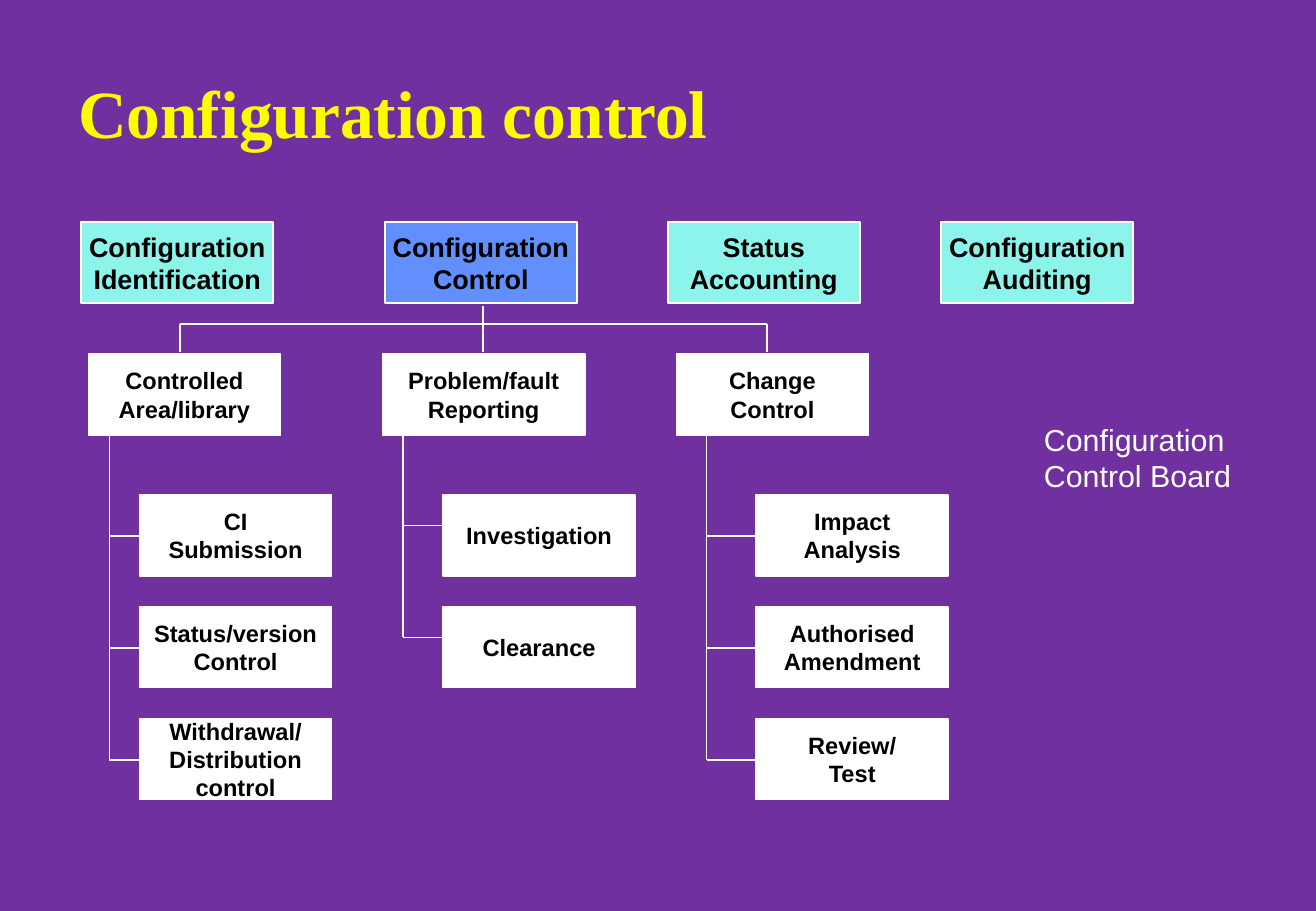
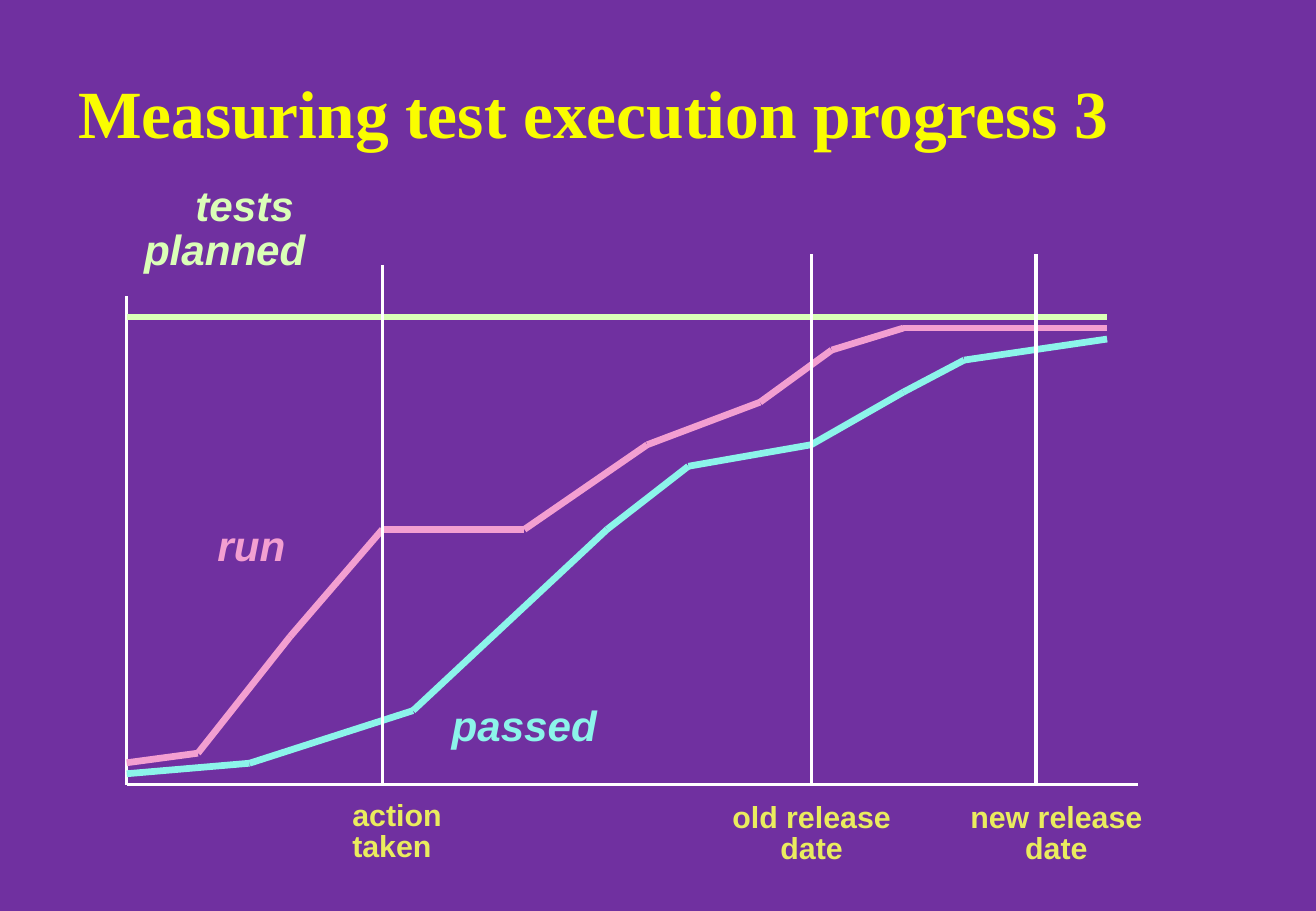
from itertools import pairwise

from lxml.etree import SubElement
from pptx import Presentation
from pptx.dml.color import RGBColor
from pptx.enum.shapes import MSO_CONNECTOR, MSO_SHAPE
from pptx.enum.text import MSO_ANCHOR, MSO_AUTO_SIZE, PP_ALIGN
from pptx.oxml.ns import qn
from pptx.util import Cm, Pt

PURPLE = RGBColor(0x70, 0x30, 0xA0)
YELLOW = RGBColor(0xFA, 0xFD, 0x00)
WHITE = RGBColor(0xFF, 0xFF, 0xFF)
BLACK = RGBColor(0x00, 0x00, 0x00)
AQUA = RGBColor(0x8C, 0xF4, 0xEA)
BLUE = RGBColor(0x61, 0x8F, 0xFD)
PINK = RGBColor(0xF3, 0x9F, 0xD1)
LIME = RGBColor(0xDB, 0xFF, 0xB8)
GOLD = RGBColor(0xEA, 0xEC, 0x5E)

SANS = "Arial"
SERIF = "Times New Roman"
BOX_W, BOX_H = 4.02, 1.69
LEAF_DROP, LEAF_STEP = 2.94, 2.34

HEADS = [
    (0, ["Configuration", "Identification"], AQUA),
    (6.35, ["Configuration", "Control"], BLUE),
    (12.27, ["Status", "Accounting"], AQUA),
    (17.99, ["Configuration", "Auditing"], AQUA),
]

TREES = [
    (BOX_W, 0.44, 1.07, 0.86, ["Controlled", "Area/library"],
     [["CI", "Submission"], ["Status/version", "Control"],
      ["Withdrawal/", "Distribution", "control"]]),
    (4.24, 0.43, 1.27, 0.64, ["Problem/fault", "Reporting"],
     [["Investigation"], ["Clearance"]]),
    (BOX_W, 0.63, 1.67, 0.86, ["Change", "Control"],
     [["Impact", "Analysis"], ["Authorised", "Amendment"],
      ["Review/", "Test"]]),
]

CURVES = [
    (PINK, [(0, 0.46), (1.49, 0.66), (3.42, 3.1), (5.35, 5.34),
            (8.32, 5.34), (10.89, 7.11), (13.25, 8), (14.75, 9.09),
            (16.25, 9.55), (20.51, 9.55)]),
    (AQUA, [(0, 0.23), (2.57, 0.45), (5.99, 1.55), (10.05, 5.34),
            (11.75, 6.66), (14.32, 7.11), (16.25, 8.21), (17.52, 8.88),
            (20.51, 9.32)]),
    (LIME, [(0, 9.78), (20.51, 9.78)]),
]

MARKS = [(5.35, 10.87), (14.32, 11.1), (19.02, 11.1)]

NAMES = [
    (-0.58, -12.59, 4.5, 1.98, ["tests ", "planned"], LIME, PP_ALIGN.RIGHT),
    (1.72, -5.49, 2, 1.07, ["run"], PINK, PP_ALIGN.LEFT),
    (6.62, -1.72, 4, 1.07, ["passed"], AQUA, PP_ALIGN.LEFT),
]

DATES = [
    (4.54, 0.28, 2.6, 1.45, ["action", "taken"], GOLD, PP_ALIGN.LEFT),
    (12.33, 0.31, 4, 1.45, ["old release", "date"], GOLD, PP_ALIGN.CENTER),
    (17.25, 0.31, 4.4, 1.45, ["new release", "date"], GOLD, PP_ALIGN.CENTER),
]


def write(frame, lines, size, color, font=SANS, bold=True, slant=False,
          align=PP_ALIGN.LEFT, space=1.0):
    for i, line in enumerate(lines):
        para = frame.add_paragraph() if i else frame.paragraphs[0]
        para.alignment = align
        para.line_spacing = space
        run = para.add_run()
        run.text = line
        run.font.name = font
        run.font.size = Pt(size)
        run.font.bold = bold
        run.font.italic = slant
        run.font.color.rgb = color


def add_slide(deck, text):
    slide = deck.slides.add_slide(deck.slide_layouts[5])
    title = slide.shapes.title
    title.left, title.top = Cm(1.38), Cm(1.49)
    title.width, title.height = Cm(23.39), Cm(1.7)
    frame = title.text_frame
    frame.auto_size = MSO_AUTO_SIZE.NONE
    frame.vertical_anchor = MSO_ANCHOR.MIDDLE
    write(frame, [text], 40, YELLOW, SERIF)
    return slide


def add_line(slide, start, end, color=WHITE, width=1):
    line = slide.shapes.add_connector(
        MSO_CONNECTOR.STRAIGHT, *(Cm(v) for v in (*start, *end)))
    line.line.color.rgb = color
    line.line.width = Pt(width)
    SubElement(line._element.spPr, qn("a:effectLst"))


def add_box(slide, x, y, w, lines, fill=WHITE, size=14):
    box = slide.shapes.add_shape(
        MSO_SHAPE.RECTANGLE, Cm(x), Cm(y), Cm(w), Cm(BOX_H))
    box.shadow.inherit = False
    box.fill.solid()
    box.fill.fore_color.rgb = fill
    box.line.color.rgb = WHITE
    box.line.width = Pt(1)
    frame = box.text_frame
    frame.word_wrap = False
    frame.vertical_anchor = MSO_ANCHOR.MIDDLE
    write(frame, lines, size, BLACK, align=PP_ALIGN.CENTER)


def add_label(slide, x, y, w, h, lines, size, color, pad=(0.18, 0.08), **style):
    label = slide.shapes.add_textbox(Cm(x), Cm(y), Cm(w), Cm(h))
    frame = label.text_frame
    frame.word_wrap = True
    frame.auto_size = MSO_AUTO_SIZE.NONE
    frame.margin_left = frame.margin_right = Cm(pad[0])
    frame.margin_top = frame.margin_bottom = Cm(pad[1])
    write(frame, lines, size, color, **style)


def add_heads(slide, x, y):
    for shift, lines, fill in HEADS:
        add_box(slide, x + shift, y, BOX_W, lines, fill, 16)


def add_fork(slide, x, y, mid, wide, drop):
    bar = y + 0.38
    add_line(slide, (x + mid, y), (x + mid, y + drop))
    add_line(slide, (x, bar), (x + wide, bar))
    for end in (x, x + wide):
        add_line(slide, (end, bar), (end, y + drop))


def add_tree(slide, x, y, w, stem, leaf, tick, lines, leaves):
    add_box(slide, x, y, w, lines)
    for i, part in enumerate(leaves):
        top = y + LEAF_DROP + i * LEAF_STEP
        add_box(slide, x + leaf, top, BOX_W, part)
        add_line(slide, (x + stem, top + tick), (x + leaf, top + tick))
    add_line(slide, (x + stem, y + BOX_H), (x + stem, top + tick))


def add_plot(slide, x, y):
    add_line(slide, (x, y - 10.21), (x, y), width=2)
    add_line(slide, (x, y), (x + 21.15, y), width=2)
    for color, points in CURVES:
        spots = [(x + dx, y - dy) for dx, dy in points]
        for start, end in pairwise(spots):
            add_line(slide, start, end, color, 4)
    for shift, high in MARKS:
        add_line(slide, (x + shift, y - high), (x + shift, y), width=2)
    for group, size, slant, space in (
            (NAMES, 25, True, 0.87), (DATES, 18, False, 0.85)):
        for dx, dy, w, h, lines, color, align in group:
            add_label(slide, x + dx, y + dy, w, h, lines, size, color,
                      slant=slant, align=align, space=space)


def control_slide(deck):
    slide = add_slide(deck, "Configuration control")
    add_heads(slide, 1.7, 4.65)
    add_fork(slide, 3.76, 6.4, 6.35, 12.29, 0.97)
    for i, tree in enumerate(TREES):
        add_tree(slide, 1.85 + i * 6.15, 7.41, *tree)
    add_label(slide, 21.59, 8.67, 4.8, 1.78,
              ["Configuration", "Control Board"], 18, WHITE,
              pad=(0.25, 0.13), bold=False)


def progress_slide(deck):
    slide = add_slide(deck, "Measuring test execution progress 3")
    add_plot(slide, 2.65, 16.41)


def main():
    deck = Presentation()
    deck.slide_width, deck.slide_height = Cm(27.53), Cm(19.05)
    fill = deck.slide_master.background.fill
    fill.solid()
    fill.fore_color.rgb = PURPLE
    control_slide(deck)
    progress_slide(deck)
    deck.save("out.pptx")


if __name__ == "__main__":
    main()
